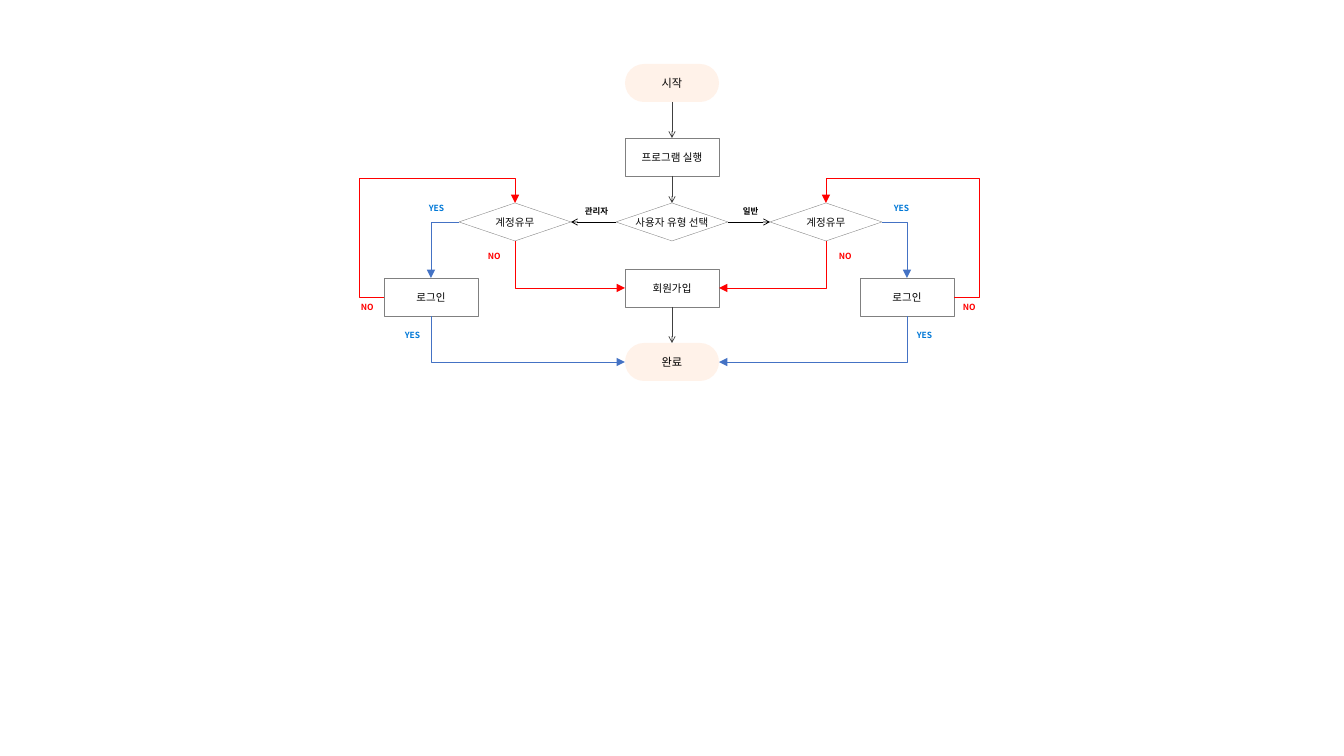
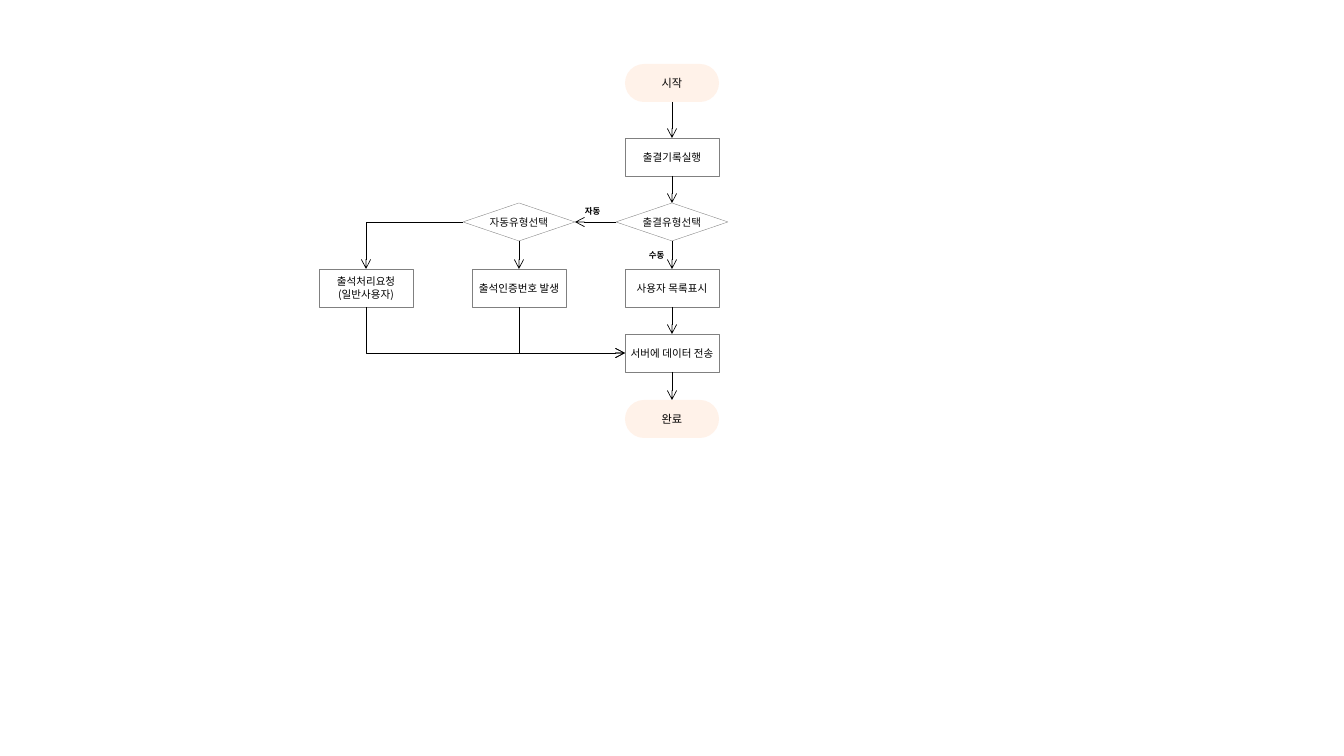
from lxml import etree
from pptx import Presentation
from pptx.dml.color import RGBColor
from pptx.enum.shapes import MSO_CONNECTOR, MSO_SHAPE
from pptx.enum.text import MSO_ANCHOR, MSO_AUTO_SIZE, PP_ALIGN
from pptx.oxml.ns import qn
from pptx.util import Pt

SCALE = 914400 / 100.8
FONT = "Noto Sans CJK KR"

BLACK = RGBColor(0x00, 0x00, 0x00)
INK = RGBColor(0x0D, 0x0D, 0x0D)
DARK = RGBColor(0x40, 0x40, 0x40)
GRAY = RGBColor(0x80, 0x80, 0x80)
WHITE = RGBColor(0xFF, 0xFF, 0xFF)
PEACH = RGBColor(0xFF, 0xF2, 0xE9)
RED = RGBColor(0xFF, 0x00, 0x00)
BLUE = RGBColor(0x44, 0x72, 0xC4)
SKY = RGBColor(0x00, 0x78, 0xD7)

PILL = MSO_SHAPE.ROUNDED_RECTANGLE
RECT = MSO_SHAPE.RECTANGLE
DIAMOND = MSO_SHAPE.FLOWCHART_DECISION
STRAIGHT = MSO_CONNECTOR.STRAIGHT
ELBOW = MSO_CONNECTOR.ELBOW
CENTER = PP_ALIGN.CENTER
MIDDLE = MSO_ANCHOR.MIDDLE
GROW = MSO_AUTO_SIZE.SHAPE_TO_FIT_TEXT

TOP, LEFT, BOTTOM, RIGHT = range(4)
MID = 672
HIGH = 38
LOOP = 25


def px(value):
    """Turn pixels into EMU."""
    return round(value * SCALE)


def style(part, size, color, bold=False):
    """Set the font of one paragraph, for Latin and Korean text."""
    font = part.font
    font.size, font.bold = Pt(size), bold
    font.color.rgb = color
    font.name = FONT
    etree.SubElement(font._rPr, qn("a:ea"), typeface=FONT)


def node(slide, kind, x, y, text, size, color, wide=94):
    """Add a flow chart shape centred on x, y."""
    shape = slide.shapes.add_shape(
        kind, px(x - wide / 2), px(y - HIGH / 2), px(wide), px(HIGH))
    shape.shadow.inherit = False
    shape.fill.solid()
    shape.fill.fore_color.rgb = WHITE
    shape.line.color.rgb = GRAY
    shape.line.width = Pt(0.25)
    frame = shape.text_frame
    frame.word_wrap = False
    frame.vertical_anchor = MIDDLE
    frame.margin_left = frame.margin_right = 0
    frame.margin_top = frame.margin_bottom = 0
    frame.text = text
    for part in frame.paragraphs:
        part.alignment = CENTER
        style(part, size, color)
    return shape


def pill(slide, y, text):
    """Add a start or end mark in the middle column."""
    shape = node(slide, PILL, MID, y, text, 8, BLACK)
    shape.adjustments[0] = 0.5
    shape.fill.fore_color.rgb = PEACH
    shape.line.fill.background()
    return shape


def step(slide, x, y, text):
    """Add a process box."""
    return node(slide, RECT, x, y, text, 7.5, BLACK)


def choice(slide, x, text):
    """Add a decision in the row of decisions."""
    return node(slide, DIAMOND, x, 222, text, 7.5, INK, 112)


def label(slide, x, y, text, color, wide=40):
    """Add a small bold caption."""
    box = slide.shapes.add_textbox(px(x), px(y), px(wide), px(20))
    frame = box.text_frame
    frame.word_wrap = False
    frame.auto_size = GROW
    frame.text = text
    style(frame.paragraphs[0], 6, color, True)


def join(slide, kind, start, out, end, into, color, head, size):
    """Glue a line with an arrowhead to two shapes."""
    line = slide.shapes.add_connector(kind, 0, 0, 0, 0)
    line.begin_connect(start, out)
    line.end_connect(end, into)
    line.line.color.rgb = color
    line.line.width = Pt(0.5)
    etree.SubElement(line.get_or_add_ln(), qn("a:tailEnd"),
                     type=head, w=size, len=size)
    etree.SubElement(line._element.spPr, qn("a:effectLst"))
    return line


def arrow(slide, start, out, end, into, color=BLACK, size="sm"):
    """Add a straight arrow."""
    join(slide, STRAIGHT, start, out, end, into, color, "arrow", size)


def bend(slide, start, out, end, into, color=BLACK, head="triangle", loop=0):
    """Add an arrow with one corner, or with three around a loop."""
    line = join(slide, ELBOW, start, out, end, into, color, head, "med")
    wide, high = line.end_x - line.begin_x, line.end_y - line.begin_y
    mid_x = (line.begin_x + line.end_x) / 2
    mid_y = (line.begin_y + line.end_y) / 2
    right, lower = wide > 0, high > 0
    wide, high = abs(wide), abs(high)
    if out == BOTTOM:
        turn, flip_h, flip_v = (270, True, False) if right else (90, False, False)
        wide, high = high, wide
    elif right == lower:
        turn, flip_h, flip_v = 0, not right, not lower
    else:
        turn, flip_h, flip_v = 180, right, lower
    line.left, line.top = round(mid_x - wide / 2), round(mid_y - high / 2)
    line.width, line.height = wide, high
    line.rotation = turn
    frame = line._element.spPr.xfrm
    frame.flipH, frame.flipV = flip_h, flip_v
    shape = line._element.spPr.find(qn("a:prstGeom"))
    shape.set("prst", "bentConnector4" if loop else "bentConnector2")
    if loop:
        guides = shape.find(qn("a:avLst"))
        if guides is None:
            guides = etree.SubElement(shape, qn("a:avLst"))
        ratios = -px(loop) / wide, 1 + px(loop) / high
        for index, ratio in enumerate(ratios, 1):
            etree.SubElement(guides, qn("a:gd"), name=f"adj{index}",
                             fmla=f"val {round(ratio * 100000)}")


def login(slide):
    """Draw the flow of signing in."""
    start = pill(slide, 83, "시작")
    run = step(slide, MID, 157, "프로그램 실행")
    user = choice(slide, MID, "사용자 유형 선택")
    join_up = step(slide, MID, 288, "회원가입")
    done = pill(slide, 362, "완료")
    for upper, lower in ((start, run), (run, user), (join_up, done)):
        arrow(slide, upper, BOTTOM, lower, TOP, DARK)

    sides = ((515, 431, LEFT, RIGHT), (826, 907, RIGHT, LEFT))
    for test_x, entry_x, outer, inner in sides:
        test = choice(slide, test_x, "계정유무")
        entry = step(slide, entry_x, 297, "로그인")
        arrow(slide, user, outer, test, inner)
        bend(slide, test, BOTTOM, join_up, outer, RED)
        bend(slide, test, outer, entry, TOP, BLUE)
        bend(slide, entry, BOTTOM, done, outer, BLUE)
        bend(slide, entry, outer, test, TOP, RED, loop=LOOP)

    label(slide, 575, 201, "관리자", BLACK, 48)
    label(slide, 733, 201, "일반", BLACK)
    for x, y in ((419, 198), (884, 198), (395, 325), (907, 325)):
        label(slide, x, y, "YES", SKY)
    for x, y in ((478, 246), (829, 246), (351, 297), (953, 297)):
        label(slide, x, y, "NO", RED)


def attend(slide):
    """Draw the flow of recording attendance."""
    start = pill(slide, 83, "시작")
    record = step(slide, MID, 157, "출결기록실행")
    kind = choice(slide, MID, "출결유형선택")
    users = step(slide, MID, 288, "사용자 목록표시")
    send = step(slide, MID, 353, "서버에 데이터 전송")
    done = pill(slide, 419, "완료")
    auto = choice(slide, 519, "자동유형선택")
    code = step(slide, 519, 288, "출석인증번호 발생")
    ask = step(slide, 366, 288, "출석처리요청\n(일반사용자)")

    column = (start, record, kind, users, send, done)
    for upper, lower in (*zip(column, column[1:]), (auto, code)):
        arrow(slide, upper, BOTTOM, lower, TOP, size="med")
    arrow(slide, kind, LEFT, auto, RIGHT, size="med")
    bend(slide, auto, LEFT, ask, TOP, head="arrow")
    for source in (code, ask):
        bend(slide, source, BOTTOM, send, LEFT, head="arrow")

    label(slide, 575, 201, "자동", BLACK)
    label(slide, 639, 245, "수동", BLACK)


def main():
    """Build both slides and save them."""
    deck = Presentation()
    deck.slide_width, deck.slide_height = px(1344), px(756)
    for draw in (login, attend):
        draw(deck.slides.add_slide(deck.slide_layouts[6]))
    deck.save("out.pptx")


main()
